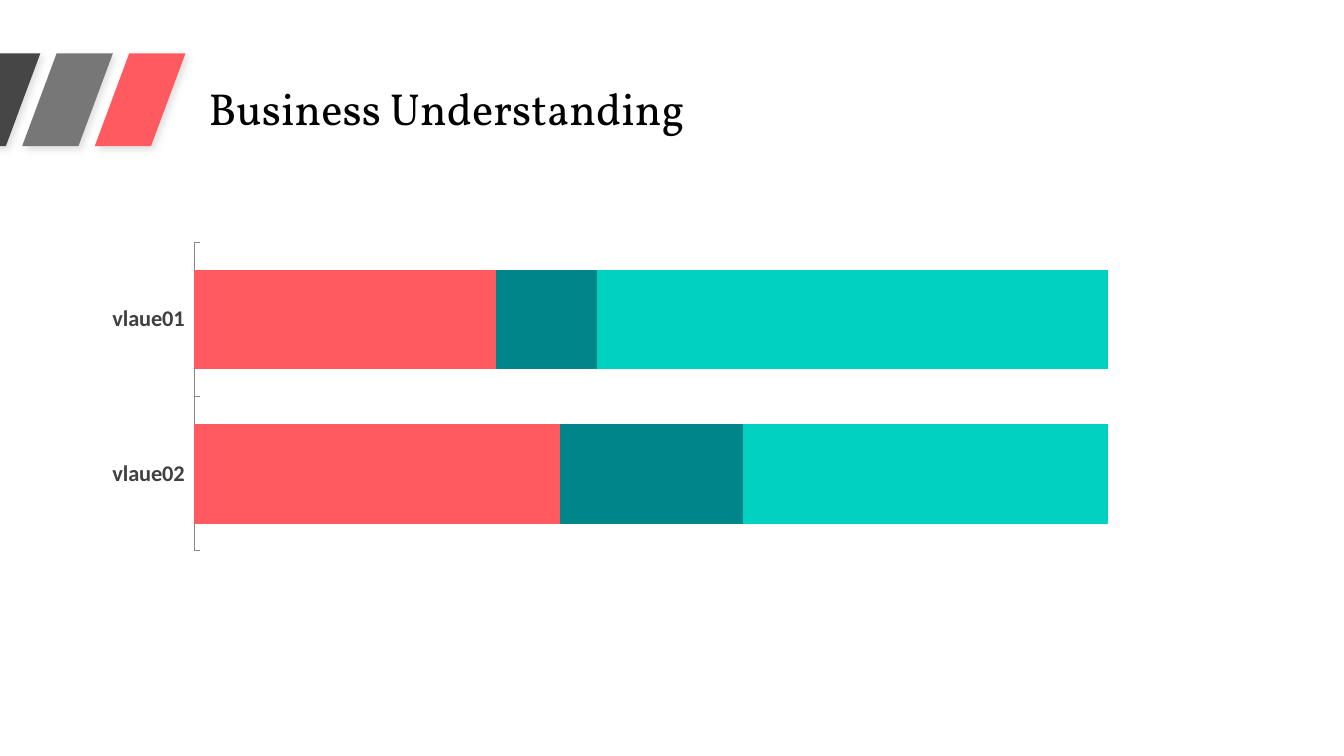
from lxml import etree
from pptx import Presentation
from pptx.chart.data import CategoryChartData
from pptx.dml.color import RGBColor
from pptx.enum.chart import XL_CHART_TYPE, XL_TICK_LABEL_POSITION, XL_TICK_MARK
from pptx.enum.shapes import MSO_SHAPE
from pptx.enum.text import MSO_ANCHOR, MSO_AUTO_SIZE, PP_ALIGN
from pptx.oxml.ns import qn
from pptx.util import Inches, Pt

STACKED_BAR = XL_CHART_TYPE.BAR_STACKED_100
PARALLELOGRAM = MSO_SHAPE.PARALLELOGRAM
TICK_INSIDE = XL_TICK_MARK.INSIDE
LABELS_LOW = XL_TICK_LABEL_POSITION.LOW
TOP = MSO_ANCHOR.TOP
LEFT = PP_ALIGN.LEFT
NO_AUTOFIT = MSO_AUTO_SIZE.NONE

BLACK = RGBColor(0x00, 0x00, 0x00)
DARK_GREY = RGBColor(0x46, 0x46, 0x46)
MID_GREY = RGBColor(0x77, 0x77, 0x77)
LABEL_GREY = RGBColor(0x40, 0x40, 0x40)
AXIS_GREY = RGBColor(0x86, 0x86, 0x86)
SHADOW_GREY = RGBColor(0xD0, 0xCE, 0xCE)
CORAL = RGBColor(0xFF, 0x5A, 0x5F)
TEAL = RGBColor(0x00, 0x85, 0x8A)
TURQUOISE = RGBColor(0x00, 0xD1, 0xC1)

CATEGORIES = ["vlaue02", "vlaue01"]
SERIES = [
    ("Series 1", (40, 33), CORAL),
    ("Series 2", (20, 11), TEAL),
    ("Series 3", (40, 56), TURQUOISE),
]

STRIPE_COLORS = [DARK_GREY, MID_GREY, CORAL]
FIRST_STRIPE_LEFT = -0.5
STRIPE_STEP = 0.72


class SlideBuilder:
    title_font = "Vollkorn"
    chart_font = "Calibri"

    def __init__(self, presentation):
        self.slide = presentation.slides.add_slide(presentation.slide_layouts[5])

    def style_font(self, font, name, size, color, bold=False):
        for attribute, value in {"name": name, "size": Pt(size), "bold": bold}.items():
            setattr(font, attribute, value)
        font.color.rgb = color

    def title(self, text, left, top, width, height):
        heading = self.slide.shapes.title
        place = {"left": left, "top": top, "width": width, "height": height}
        for attribute, value in place.items():
            setattr(heading, attribute, Inches(value))
        frame = heading.text_frame
        frame.text = text
        layout = {"word_wrap": True, "auto_size": NO_AUTOFIT, "vertical_anchor": TOP}
        for attribute, value in layout.items():
            setattr(frame, attribute, value)
        line = frame.paragraphs[0]
        line.alignment = LEFT
        line.line_spacing = 0.9
        self.style_font(line.runs[0].font, self.title_font, 32, BLACK)

    def stripe(self, left, color):
        stripe = self.slide.shapes.add_shape(
            PARALLELOGRAM, Inches(left), Inches(0.53), Inches(0.9), Inches(0.92))
        stripe.adjustments[0] = 0.38
        stripe.fill.solid()
        stripe.fill.fore_color.rgb = color
        stripe.line.fill.background()
        self.cast_shadow(stripe)

    def cast_shadow(self, shape):
        """Add a soft shadow falling to the lower right."""
        shape.shadow.inherit = False
        effects = shape._element.spPr.find(qn("a:effectLst"))
        shadow = etree.SubElement(
            effects, qn("a:outerShdw"), blurRad=str(Pt(5)), dist=str(Pt(3)),
            dir=str(45 * 60000), algn="tl", rotWithShape="0")
        tint = etree.SubElement(shadow, qn("a:srgbClr"), val=str(SHADOW_GREY))
        etree.SubElement(tint, qn("a:alpha"), val="60000")

    def stacked_bars(self, categories, series, left, top, width, height):
        data = CategoryChartData()
        data.categories = categories
        for name, values, _ in series:
            data.add_series(name, values)
        chart = self.slide.shapes.add_chart(
            STACKED_BAR, Inches(left), Inches(top), Inches(width), Inches(height), data).chart
        chart.has_legend = False
        chart.has_title = False
        self.style_font(chart.font, self.chart_font, 18, BLACK)

        plot = chart.plots[0]
        for attribute, value in {"gap_width": 55, "overlap": 100,
                                 "vary_by_categories": False}.items():
            setattr(plot, attribute, value)
        for bars, (_, _, color) in zip(plot.series, series):
            bars.format.fill.solid()
            bars.format.fill.fore_color.rgb = color

        chart.value_axis.visible = False
        chart.value_axis.has_major_gridlines = False
        axis = chart.category_axis
        axis.major_tick_mark = TICK_INSIDE
        axis.tick_label_position = LABELS_LOW
        axis.format.line.color.rgb = AXIS_GREY
        axis.format.line.width = Pt(0.75)
        self.style_font(axis.tick_labels.font, self.chart_font, 16, LABEL_GREY, bold=True)


def main():
    presentation = Presentation()
    presentation.slide_width = Inches(13.33)
    presentation.slide_height = Inches(7.5)
    builder = SlideBuilder(presentation)
    builder.title("Business Understanding", 1.97, 0.81, 5.36, 0.92)
    for index, color in enumerate(STRIPE_COLORS):
        builder.stripe(FIRST_STRIPE_LEFT + index * STRIPE_STEP, color)
    builder.stacked_bars(CATEGORIES, SERIES, 0.91, 2.34, 10.29, 3.19)
    presentation.save("out.pptx")


if __name__ == "__main__":
    main()
